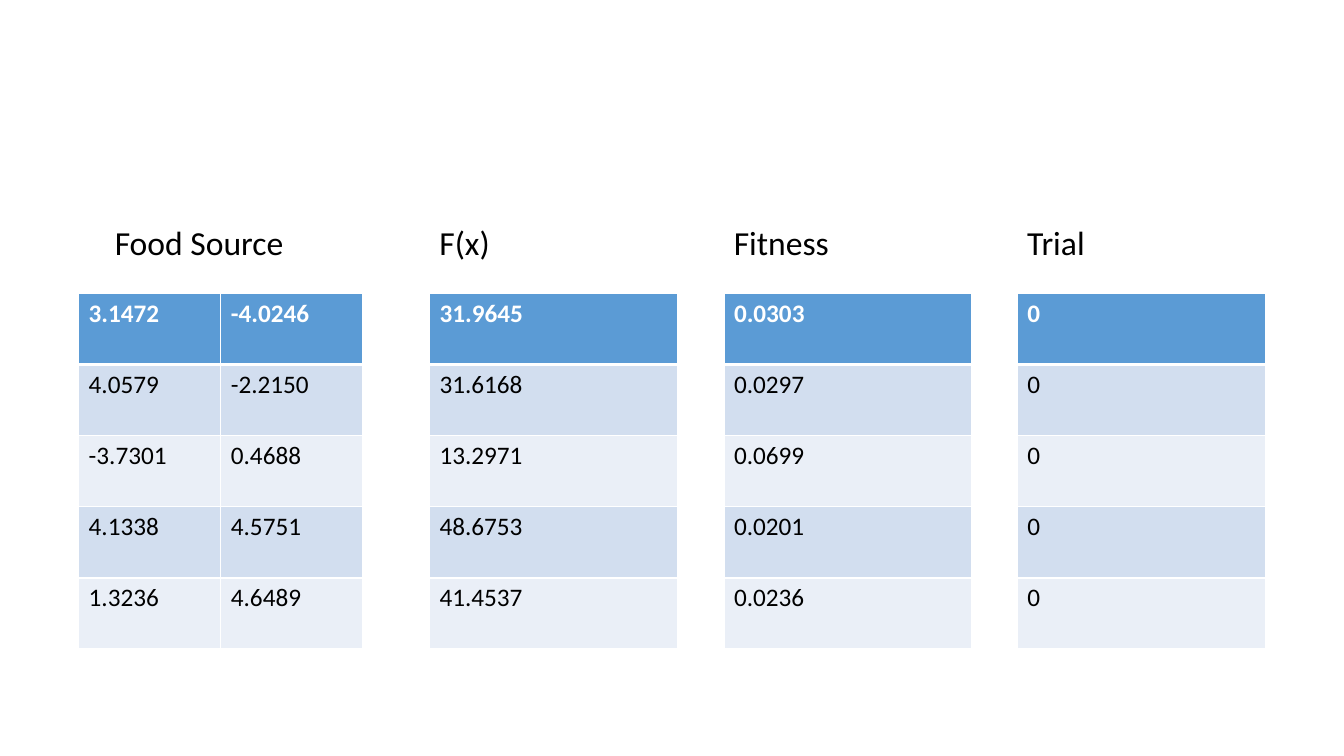
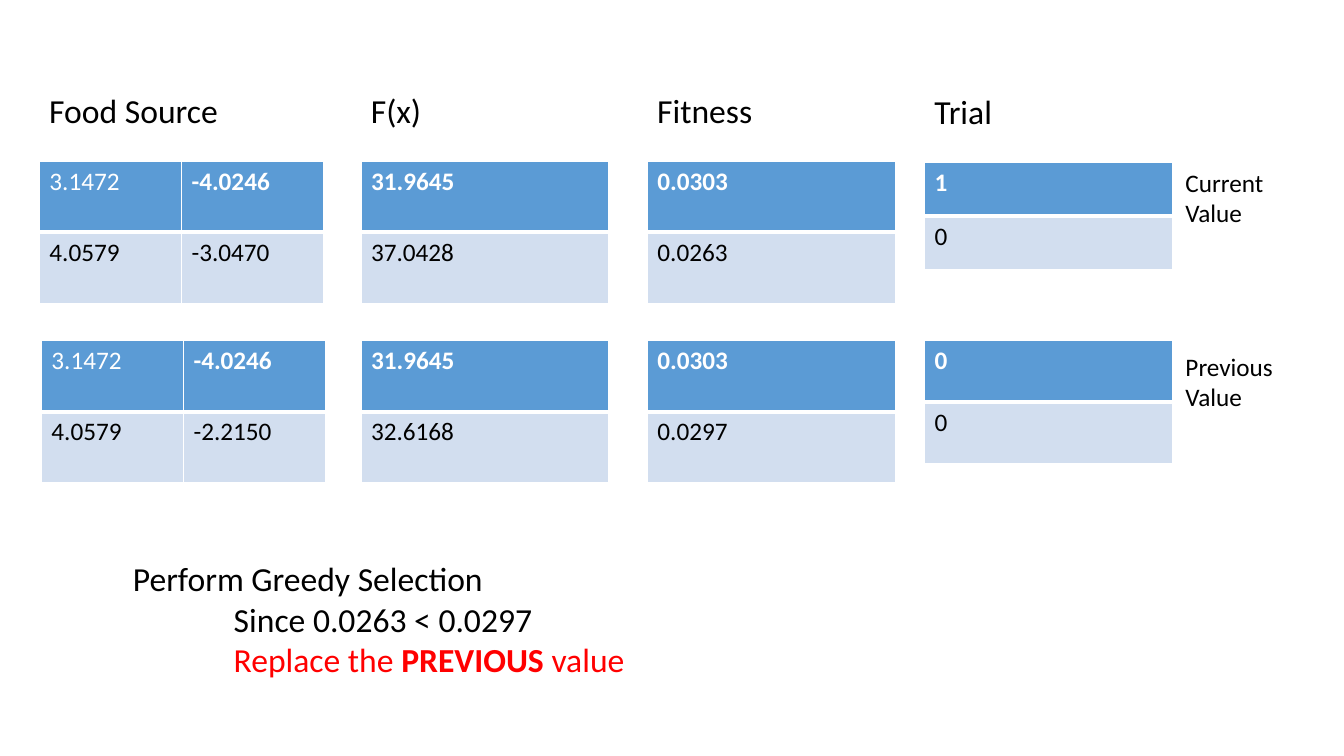
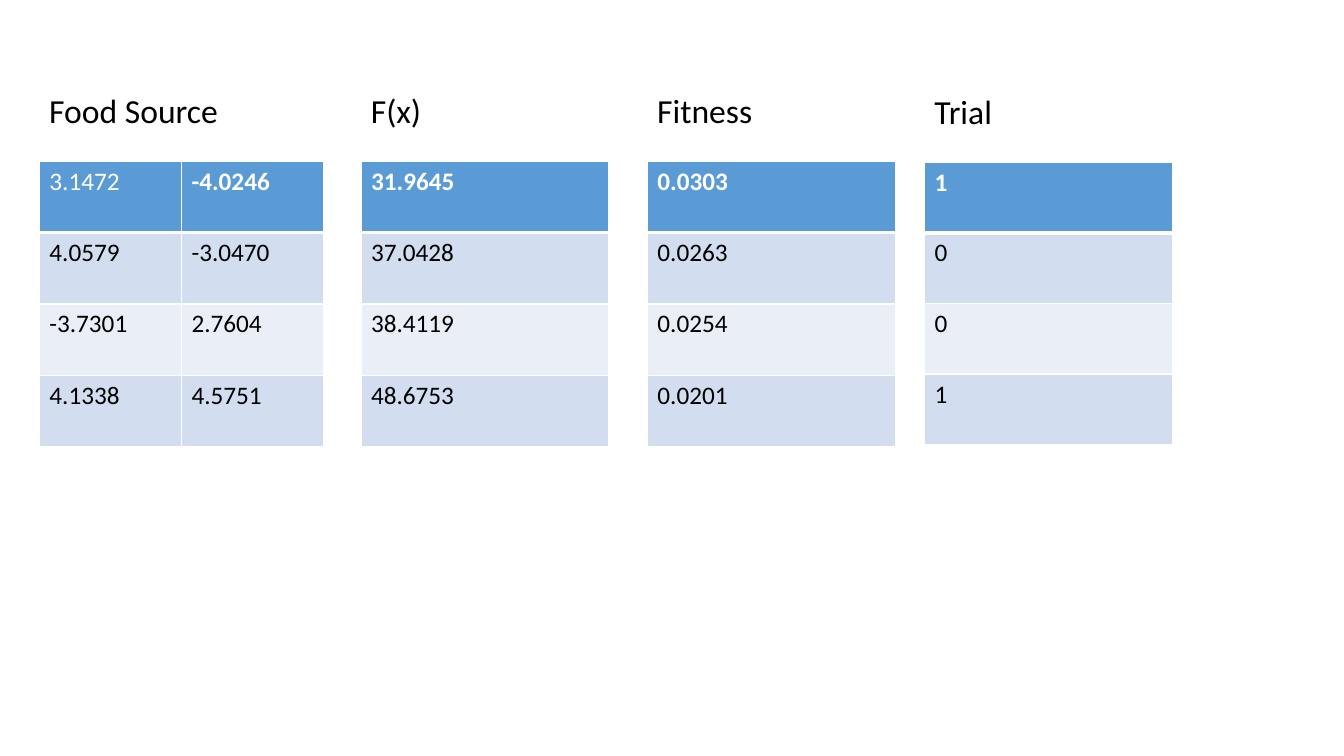
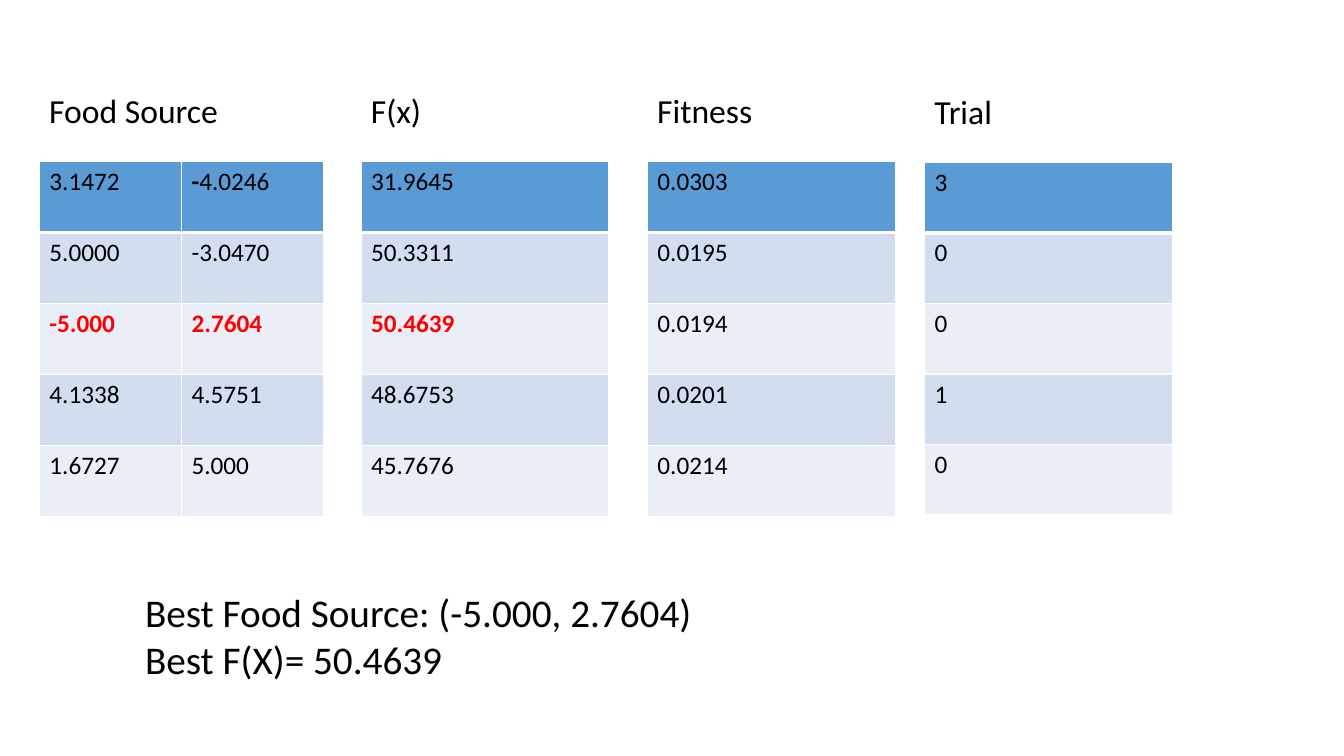
from dataclasses import dataclass

from lxml import etree
from pptx import Presentation, util as u
from pptx.dml.color import RGBColor
from pptx.oxml import ns


@dataclass(frozen=True)
class Theme:
    font: str = "Calibri"
    ink: str = "000000"
    white: str = "FFFFFF"
    alert: str = "FF0000"
    header: str = "5B9BD5"
    bands: tuple = ("D2DEEF", "EAEFF7")
    cell_size: int = 18
    heading_size: int = 24
    result_size: int = 28
    thin: int = 1
    thick: int = 3


THEME = Theme()
HEADINGS = ("Food Source", "F(x)", "Fitness", "Trial")
WIDTHS = (2.82, 2.46, 2.46, 2.46)
LEFTS = (0.39, 3.58, 6.42, 9.17)
TOPS = (1.6, 1.6, 1.6, 1.61)
HEADING_RISE = 0.76

# Formats that depart from a row's usual look
PLAIN = {"bold": False}
BOLD = {"bold": True}
DARK = {"bold": False, "color": THEME.ink}
RED = {"color": THEME.alert}
BEST = RED | BOLD


def add_spans(para, content, base):
    """Write a string, or a list of (string, format) pairs."""
    spans = [(content, {})] if isinstance(content, str) else content
    for words, changes in spans:
        span = para.add_run()
        span.text = words
        values = {"name": THEME.font, "bold": False, "color": THEME.ink} | base | changes
        span.font.color.rgb = RGBColor.from_string(values.pop("color"))
        for name, value in values.items():
            setattr(span.font, name, value)


def add_text(page, at, lines, size):
    """Each line is (content, left indent in inches, points before it)."""
    box = page.shapes.add_textbox(*map(u.Inches, at))
    frame = box.text_frame
    frame.word_wrap = True
    for index, (content, indent, before) in enumerate(lines):
        para = frame.paragraphs[0] if index == 0 else frame.add_paragraph()
        para.space_before = u.Pt(before)
        if indent:
            properties = para._p.get_or_add_pPr()
            properties.set("marL", str(u.Inches(indent)))
            properties.set("indent", "0")
        add_spans(para, content, {"size": u.Pt(size)})


def add_borders(cell, row):
    """White rules, with a thick one under the header row."""
    weights = {
        "lnL": THEME.thin,
        "lnR": THEME.thin,
        "lnT": THEME.thick if row == 1 else THEME.thin,
        "lnB": THEME.thick if row == 0 else THEME.thin,
    }
    properties = cell._tc.get_or_add_tcPr()
    for side, weight in weights.items():
        line = etree.SubElement(properties, ns.qn(f"a:{side}"), w=str(u.Pt(weight)))
        fill = etree.SubElement(line, ns.qn("a:solidFill"))
        etree.SubElement(fill, ns.qn("a:srgbClr"), val=THEME.white)


def add_grid(page, at, rows, head):
    shape = page.shapes.add_table(len(rows), len(rows[0]), *map(u.Inches, at))
    table = shape.table
    table.first_row = table.horz_banding = False
    for r, values in enumerate(rows):
        color = THEME.bands[(r - 1) % 2] if r else THEME.header
        base = {"size": u.Pt(THEME.cell_size)} | (head if r == 0 else {})
        for c, content in enumerate(values):
            cell = table.cell(r, c)
            add_borders(cell, r)
            cell.fill.solid()
            cell.fill.fore_color.rgb = RGBColor.from_string(color)
            add_spans(cell.text_frame.paragraphs[0], content, base)


def add_headings(page, lefts=LEFTS, tops=TOPS):
    for name, left, top in zip(HEADINGS, lefts, tops):
        add_text(page, (left, top - HEADING_RISE, 2.3, 0.5), [(name, 0, 0)], THEME.heading_size)


def add_tables(page, records, heights, lefts=LEFTS, tops=TOPS, head=None):
    """Split records of (x1, x2, F(x), fitness, trial) into four tables."""
    head = head or {"bold": True, "color": THEME.white}
    parts = (slice(0, 2), slice(2, 3), slice(3, 4), slice(4, 5))
    for part, left, top, width, height in zip(parts, lefts, tops, WIDTHS, heights):
        add_grid(page, (left, top, width, height), [record[part] for record in records], head)


def initial_page(page):
    lefts, tops = (0.78, 4.26, 7.18, 10.09), (2.91,) * 4
    add_headings(page, (1.04, *lefts[1:]), tops)
    add_tables(page, [
        ("3.1472", "-4.0246", "31.9645", "0.0303", "0"),
        ("4.0579", "-2.2150", "31.6168", "0.0297", "0"),
        ("-3.7301", "0.4688", "13.2971", "0.0699", "0"),
        ("4.1338", "4.5751", "48.6753", "0.0201", "0"),
        ("1.3236", "4.6489", "41.4537", "0.0236", "0"),
    ], (3.53,) * 4, lefts, tops)


def selection_page(page):
    add_headings(page)
    first = [("3.1472", PLAIN)]
    # Current values above, previous values below
    add_tables(page, [
        (first, "-4.0246", "31.9645", "0.0303", "1"),
        ("4.0579", "-3.0470", "37.0428", "0.0263", "0"),
    ], (1.41, 1.41, 1.41, 1.07))
    add_tables(page, [
        (first, "-4.0246", "31.9645", "0.0303", "0"),
        ("4.0579", "-2.2150", "32.6168", "0.0297", "0"),
    ], (1.41, 1.41, 1.41, 1.22), (0.41, *LEFTS[1:]), (3.38,) * 4)
    add_text(page, (11.66, 1.61, 1.47, 2.52),
             [("Current Value", 0, 0), ("Previous Value", 0, 88)], THEME.cell_size)
    # Outcome of the comparison
    add_text(page, (1.22, 5.49, 8.4, 1.72), [
        ("Perform Greedy Selection", 0, 0),
        ("Since 0.0263 < 0.0297", 1, 0),
        ([("Replace the ", RED), ("PREVIOUS", BEST), (" value", RED)], 1, 0),
    ], THEME.heading_size)


def updated_page(page):
    add_headings(page)
    add_tables(page, [
        ([("3.1472", PLAIN)], "-4.0246", "31.9645", "0.0303", "1"),
        ("4.0579", "-3.0470", "37.0428", "0.0263", "0"),
        ("-3.7301", "2.7604", "38.4119", "0.0254", "0"),
        ("4.1338", "4.5751", "48.6753", "0.0201", "1"),
    ], (2.83, 2.83, 2.83, 2.8))


def result_page(page):
    add_headings(page)
    best = [[(value, BEST)] for value in ("-5.000", "2.7604", "50.4639")]
    add_tables(page, [
        ("3.1472", [("-", BOLD), ("4.0246", {})], "31.9645", "0.0303", "3"),
        ("5.0000", "-3.0470", "50.3311", "0.0195", "0"),
        (*best, "0.0194", "0"),
        ("4.1338", "4.5751", "48.6753", "0.0201", "1"),
        ("1.6727", "5.000", "45.7676", "0.0214", "0"),
    ], (3.53, 3.53, 3.53, 3.5), head=DARK)
    add_text(page, (1.34, 5.79, 8.85, 1.04), [
        ("Best Food Source: (-5.000, 2.7604)", 0, 0),
        ("Best F(X)= 50.4639", 0, 0),
    ], THEME.result_size)


def main():
    deck = Presentation()
    deck.slide_width, deck.slide_height = u.Inches(13.33), u.Inches(7.5)
    for build in (initial_page, selection_page, updated_page, result_page):
        build(deck.slides.add_slide(deck.slide_layouts[6]))
    deck.save("out.pptx")


if __name__ == "__main__":
    main()
